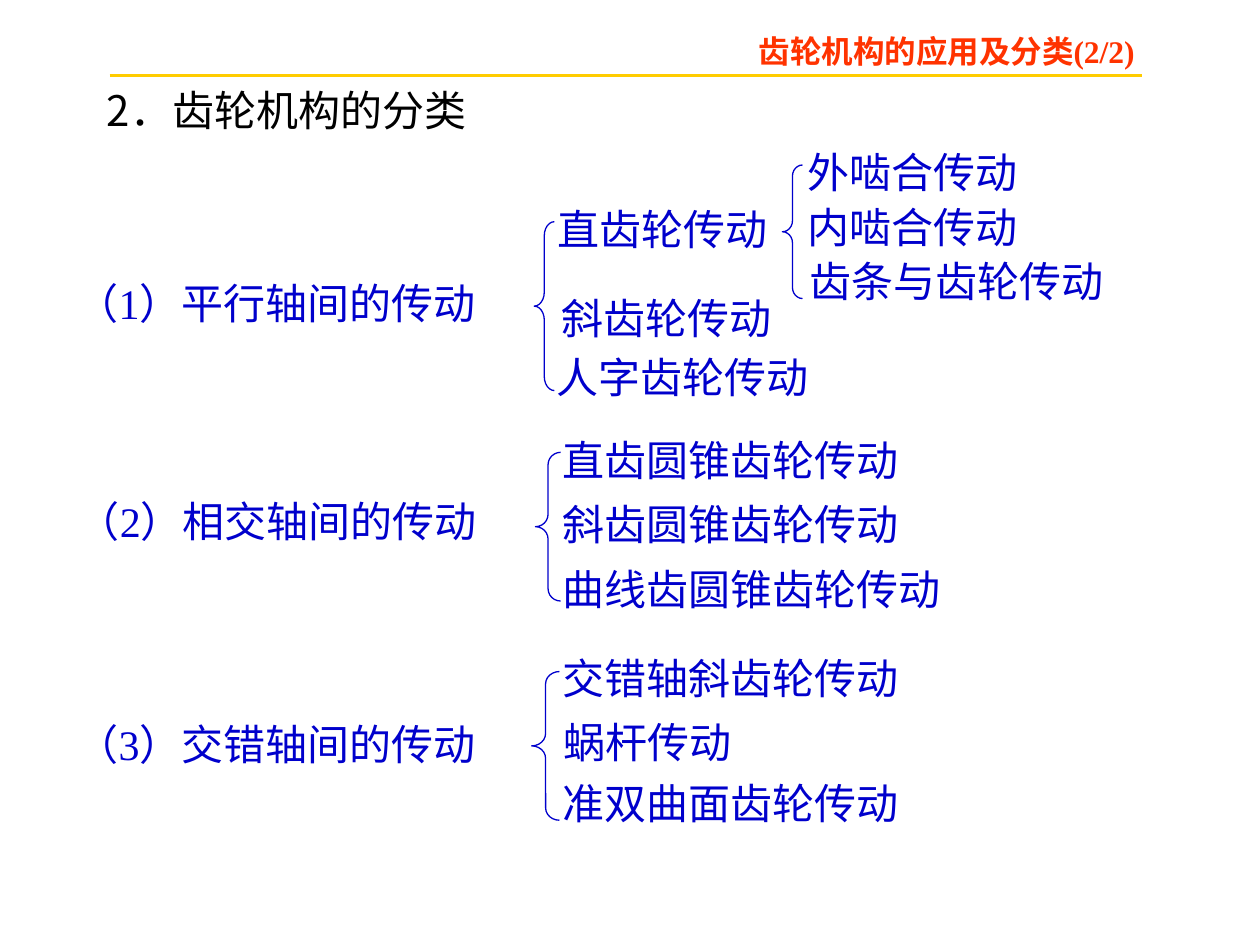
from dataclasses import dataclass
from typing import Any

from lxml.etree import SubElement
from pptx import Presentation
from pptx.dml.color import RGBColor as RGB
from pptx.enum.shapes import MSO_CONNECTOR as Link, MSO_SHAPE as Kind
from pptx.enum.text import MSO_ANCHOR as Anchor, MSO_AUTO_SIZE as Fit, PP_ALIGN as Align
from pptx.oxml.ns import qn
from pptx.util import Inches, Pt

# Slide and grid: 100 columns by 75 rows
WIDE, HIGH = Inches(10), Inches(7.5)
COLS, ROWS = 100, 75


@dataclass(frozen=True)
class Theme:
    blue: RGB = RGB(0x00, 0x00, 0xCC)
    red: RGB = RGB(0xFF, 0x33, 0x00)
    gold: RGB = RGB(0xFF, 0xCC, 0x00)
    black: RGB = RGB(0x00, 0x00, 0x00)
    serif: str = "Times New Roman"
    sans: str = "Noto Sans CJK SC"
    head: int = 18
    body: int = 24
    thin: float = 0.75
    rule: float = 2


THEME = Theme()
PLAIN = {"name": THEME.serif, "size": Pt(THEME.body), "bold": False}
TITLE = PLAIN | {"size": Pt(THEME.head), "bold": True}
TOPIC = PLAIN | {"name": THEME.sans}
FRAME = {"word_wrap": True, "auto_size": Fit.SHAPE_TO_FIT_TEXT,
         "vertical_anchor": Anchor.TOP}


@dataclass(frozen=True)
class Box:
    col: float
    row: float
    cols: float
    rows: float = 5

    def place(self) -> tuple[int, int, int, int]:
        return across(self.col), down(self.row), across(self.cols), down(self.rows)


@dataclass(frozen=True)
class Leaf:
    text: str
    col: float
    row: float


@dataclass(frozen=True)
class Branch:
    brace: Box
    leaves: tuple[Leaf, ...]


def across(cols: float) -> int:
    return round(WIDE * cols / COLS)


def down(rows: float) -> int:
    return round(HIGH * rows / ROWS)


def write(shape: Any, text: str, style: dict, color: RGB) -> None:
    frame = shape.text_frame
    for key, value in FRAME.items():
        setattr(frame, key, value)
    line = frame.paragraphs[0]
    line.alignment = Align.LEFT
    run = line.add_run()
    run.text = text
    run.font.color.rgb = color
    for key, value in style.items():
        setattr(run.font, key, value)
    # East Asian typeface
    SubElement(run._r.get_or_add_rPr(), qn("a:ea")).set("typeface", THEME.sans)


def label(shapes: Any, text: str, box: Box, style: dict = PLAIN,
          color: RGB = THEME.blue) -> None:
    write(shapes.add_textbox(*box.place()), text, style, color)


def brace(shapes: Any, box: Box) -> None:
    shape = shapes.add_shape(Kind.LEFT_BRACE, *box.place())
    shape.shadow.inherit = False
    shape.fill.background()
    shape.line.color.rgb = THEME.blue
    shape.line.width = Pt(THEME.thin)
    # Each curl takes a twelfth of the height
    shape.adjustments[0] = box.rows / box.cols / 12


def branch(shapes: Any, item: Branch) -> None:
    group = shapes.add_group_shape().shapes
    for leaf in item.leaves:
        # One em per character plus side margins and a little slack
        cols = 2.3 + len(leaf.text) * THEME.body / 7.2
        label(group, leaf.text, Box(leaf.col, leaf.row, cols))
    brace(group, item.brace)


def rule(shapes: Any, left: float, right: float, row: float) -> None:
    line = shapes.add_connector(Link.STRAIGHT, across(left), down(row),
                                across(right), down(row))
    line.line.color.rgb = THEME.gold
    line.line.width = Pt(THEME.rule)
    SubElement(line._element.spPr, qn("a:effectLst"))


CLASSES = (
    ("（1）平行轴间的传动", Box(5.1, 21.5, 36.5)),
    ("（2）相交轴间的传动", Box(5.2, 38.8, 36.5)),
    ("（3）交错轴间的传动", Box(5.1, 56.5, 36.5)),
)
BRANCHES = (
    Branch(Box(42.4, 17.6, 1.6, 13.4), (
        Leaf("直齿轮传动", 43.3, 15.7),
        Leaf("斜齿轮传动", 43.6, 22.7),
        Leaf("人字齿轮传动", 43.2, 27.4))),
    Branch(Box(42.5, 35.9, 2, 11.8), (
        Leaf("直齿圆锥齿轮传动", 43.7, 34),
        Leaf("斜齿圆锥齿轮传动", 43.7, 39.1),
        Leaf("曲线齿圆锥齿轮传动", 43.7, 44.2))),
    Branch(Box(42.2, 53.3, 2.2, 11.8), (
        Leaf("交错轴斜齿轮传动", 43.7, 51.3),
        Leaf("蜗杆传动", 43.7, 56.4),
        Leaf("准双曲面齿轮传动", 43.7, 61.2))),
    Branch(Box(62.1, 13.1, 1.6, 10.6), (
        Leaf("外啮合传动", 63.1, 11.1),
        Leaf("内啮合传动", 63.1, 15.5),
        Leaf("齿条与齿轮传动", 63.3, 19.8))),
)


def main() -> None:
    deck = Presentation()
    deck.slide_width, deck.slide_height = WIDE, HIGH
    slide = deck.slides.add_slide(deck.slide_layouts[5])
    shapes = slide.shapes

    # Header and rule
    title = shapes.title
    title.left, title.top, title.width, title.height = Box(59.2, 2, 34, 4).place()
    write(title, "齿轮机构的应用及分类(2/2)", TITLE, THEME.red)
    rule(shapes, 8.7, 90.6, 6)

    # Topic and classes
    label(shapes, "2．齿轮机构的分类", Box(7.5, 6.2, 32), TOPIC, THEME.black)
    for text, box in CLASSES:
        label(shapes, text, box)

    # Braced kinds
    for item in BRANCHES:
        branch(shapes, item)
    deck.save("out.pptx")


if __name__ == "__main__":
    main()
